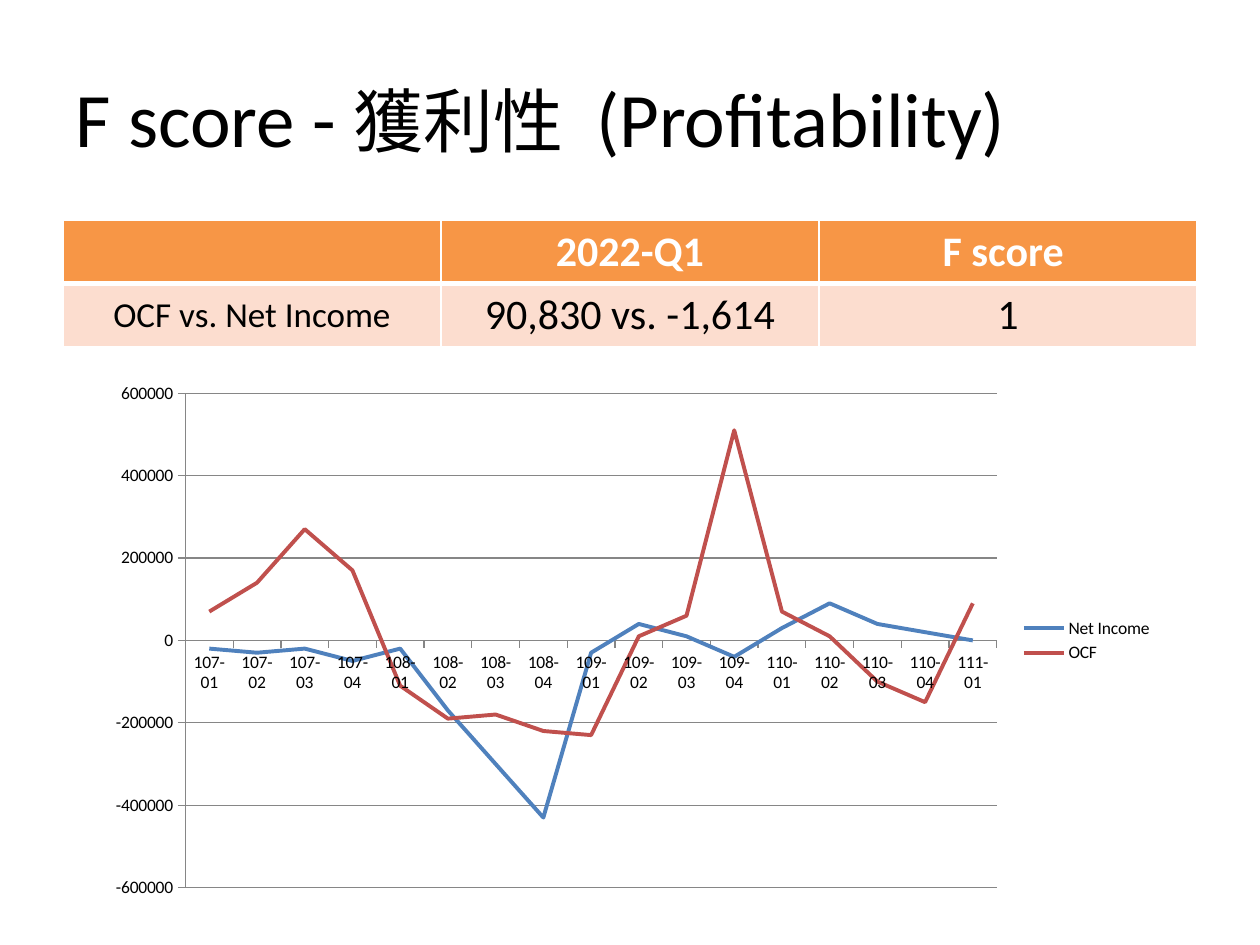
from dataclasses import dataclass

import pptx
import pptx.chart.data
import pptx.dml.color
import pptx.enum.chart
import pptx.enum.text
import pptx.oxml
import pptx.oxml.ns
import pptx.util

Pt = pptx.util.Pt


@dataclass(frozen=True)
class Theme:
    font: str = "Calibri"
    black: str = "000000"
    white: str = "FFFFFF"
    header: str = "F79646"
    body: str = "FCDDCF"
    income: str = "4F81BD"
    cash_flow: str = "C0504D"
    grid: str = "868686"
    title_size: int = 44
    title_chinese_size: int = 40
    table_size: int = 24
    label_size: int = 20
    chart_size: int = 10


THEME = Theme()

TITLE = [
    ("F score - ", THEME.title_size),
    ("獲利性 ", THEME.title_chinese_size),
    (" (Profitability)", THEME.title_size),
]
TABLE = [
    ["", "2022-Q1", "F score "],
    ["OCF vs. Net Income", "90,830 vs. -1,614", "1"],
]
QUARTERS = [f"{year}-{quarter:02}" for year in range(107, 111) for quarter in range(1, 5)]
QUARTERS.append("111-01")
SERIES = [
    ("Net Income", THEME.income,
     [-20, -30, -20, -50, -20, -170, -300, -430, -30, 40, 10, -40, 30, 90, 40, 20, 0]),
    ("OCF", THEME.cash_flow,
     [70, 140, 270, 170, -110, -190, -180, -220, -230, 10, 60, 510, 70, 10, -100, -150, 90]),
]
SERIES_UNIT = 1000


def rgb(color):
    return pptx.dml.color.RGBColor.from_string(color)


def set_attributes(target, values):
    for name, value in values.items():
        setattr(target, name, value)


def style_font(font, size, color, bold=False):
    set_attributes(font, {"name": THEME.font, "size": Pt(size), "bold": bold})
    font.color.rgb = rgb(color)


def style_line(line, color, width):
    line.color.rgb = rgb(color)
    line.width = Pt(width)


def add_title(slide):
    frame = slide.shapes.add_textbox(Pt(36), Pt(21.6), Pt(648), Pt(90)).text_frame
    set_attributes(frame, {
        "word_wrap": True,
        "vertical_anchor": pptx.enum.text.MSO_ANCHOR.MIDDLE,
    })
    for text, size in TITLE:
        run = frame.paragraphs[0].add_run()
        run.text = text
        style_font(run.font, size, THEME.black)


def set_borders(cell, widths):
    """Draw white borders; widths maps a side (L, R, T, B) to points."""
    properties = cell._tc.get_or_add_tcPr()
    for position, (side, width) in enumerate(widths.items()):
        border = pptx.oxml.parse_xml(
            f'<a:ln{side} {pptx.oxml.ns.nsdecls("a")} w="{Pt(width)}">'
            f'<a:solidFill><a:srgbClr val="{THEME.white}"/></a:solidFill></a:ln{side}>')
        properties.insert(position, border)


def add_score_table(slide):
    frame = slide.shapes.add_table(
        len(TABLE), len(TABLE[0]), Pt(36), Pt(126), Pt(648), Pt(72))
    for row_index, texts in enumerate(TABLE):
        is_header = row_index == 0
        divider = {"B": 3} if is_header else {"T": 3}
        for column_index, text in enumerate(texts):
            cell = frame.table.cell(row_index, column_index)
            cell.vertical_anchor = pptx.enum.text.MSO_ANCHOR.MIDDLE
            cell.fill.solid()
            cell.fill.fore_color.rgb = rgb(THEME.header if is_header else THEME.body)
            set_borders(cell, {"L": 1, "R": 1, "T": 1, "B": 1} | divider)
            paragraph = cell.text_frame.paragraphs[0]
            paragraph.text = text
            paragraph.alignment = pptx.enum.text.PP_ALIGN.CENTER
            size = THEME.label_size if column_index == 0 else THEME.table_size
            style_font(paragraph.font, size,
                       THEME.white if is_header else THEME.black, is_header)


def style_axes(chart):
    tick = pptx.enum.chart.XL_TICK_MARK
    for axis in (chart.category_axis, chart.value_axis):
        set_attributes(axis, {"major_tick_mark": tick.OUTSIDE, "minor_tick_mark": tick.NONE})
        style_line(axis.format.line, THEME.grid, 0.75)
    set_attributes(chart.value_axis, {
        "minimum_scale": -600000,
        "maximum_scale": 600000,
        "major_unit": 200000,
        "has_major_gridlines": True,
    })
    style_line(chart.value_axis.major_gridlines.format.line, THEME.grid, 0.75)


def add_line_chart(slide):
    data = pptx.chart.data.CategoryChartData(number_format="General")
    data.categories = QUARTERS
    for name, _, values in SERIES:
        data.add_series(name, [value * SERIES_UNIT for value in values])
    chart = slide.shapes.add_chart(
        pptx.enum.chart.XL_CHART_TYPE.LINE, Pt(54), Pt(213), Pt(612), Pt(306), data).chart
    set_attributes(chart, {"has_title": False, "has_legend": True})
    style_font(chart.font, THEME.chart_size, THEME.black)
    set_attributes(chart.legend, {
        "position": pptx.enum.chart.XL_LEGEND_POSITION.RIGHT,
        "include_in_layout": False,
    })
    style_axes(chart)
    plot = chart.plots[0]
    plot.vary_by_categories = False
    for series, (_, color, _) in zip(plot.series, SERIES):
        series.smooth = False
        series.marker.style = pptx.enum.chart.XL_MARKER_STYLE.NONE
        style_line(series.format.line, color, 2.25)


def main():
    presentation = pptx.Presentation()
    set_attributes(presentation, {"slide_width": Pt(720), "slide_height": Pt(540)})
    slide = presentation.slides.add_slide(presentation.slide_layouts[6])
    add_title(slide)
    add_score_table(slide)
    add_line_chart(slide)
    presentation.save("out.pptx")


if __name__ == "__main__":
    main()
